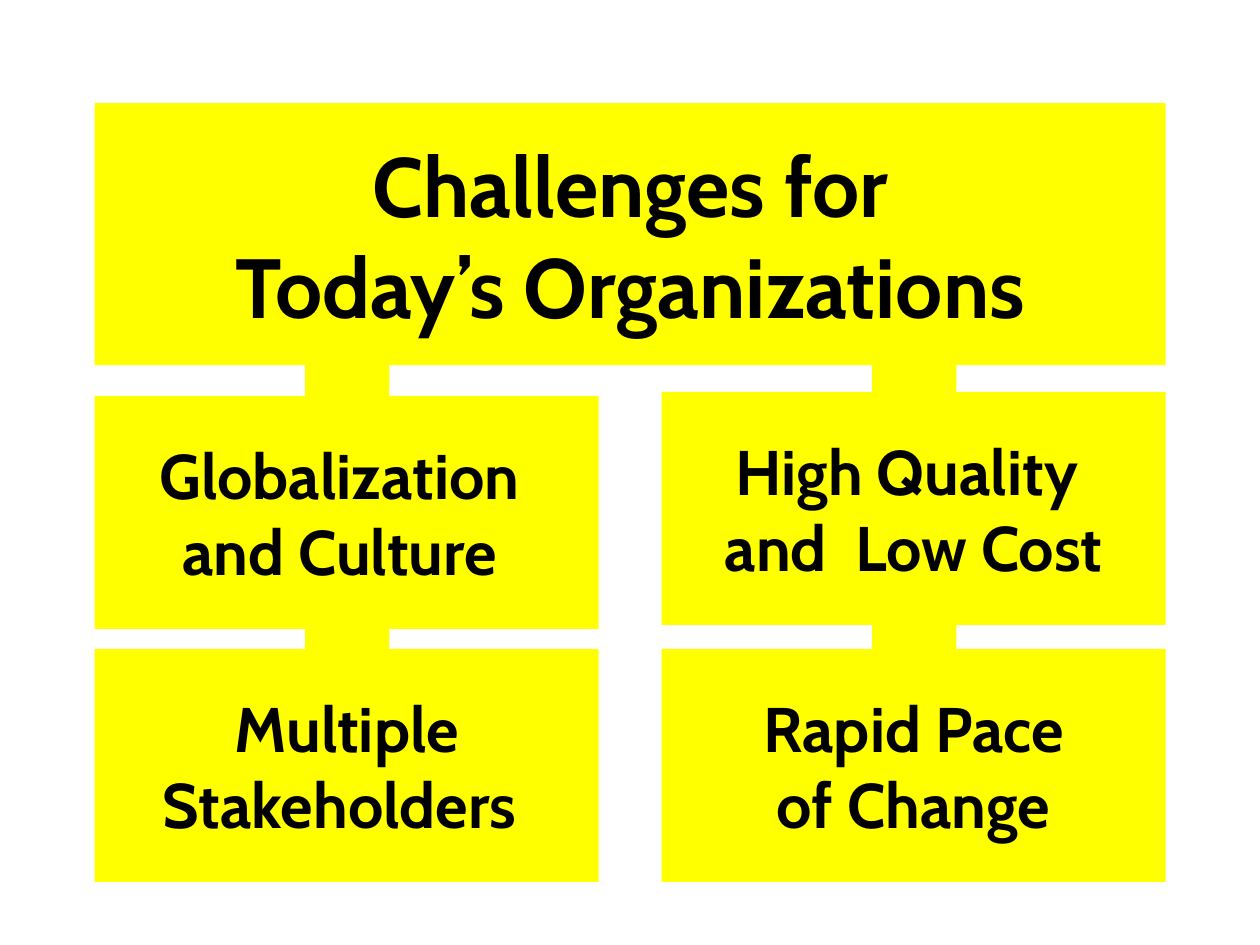
from pptx import Presentation
from pptx import util as u
from pptx.dml.color import RGBColor
from pptx.enum import shapes, text

YELLOW = RGBColor(0xFF, 0xFF, 0x00)
BLACK = RGBColor(0x00, 0x00, 0x00)
LEFT, RIGHT = 1.91, 13.34
BOX_W, BOX_H = 10.16, 4.7
BAR_OFFSET, BAR_W, BAR_H = 4.24, 1.7, 12.7

prs = Presentation()
prs.slide_width, prs.slide_height = u.Cm(25.4), u.Cm(19.05)
s = prs.slides.add_slide(prs.slide_layouts[6])


def add_box(x, y, w, h, lines=(), size=36):
    sp = s.shapes.add_shape(shapes.MSO_SHAPE.RECTANGLE, u.Cm(x), u.Cm(y), u.Cm(w), u.Cm(h))
    sp.shadow.inherit = False
    sp.fill.solid()
    sp.fill.fore_color.rgb = YELLOW
    sp.line.fill.background()
    tf = sp.text_frame
    tf.word_wrap = False
    tf.vertical_anchor = text.MSO_ANCHOR.MIDDLE
    for i, line in enumerate(lines):
        p = tf.add_paragraph() if i else tf.paragraphs[0]
        p.text = line
        p.alignment = text.PP_ALIGN.CENTER
        p.font.name = "Cabin"
        p.font.size = u.Pt(size)
        p.font.bold = True
        p.font.color.rgb = BLACK


for x, y in [(RIGHT, 4.19), (LEFT, 4.42)]:
    add_box(x + BAR_OFFSET, y, BAR_W, BAR_H)

add_box(LEFT, 2.08, 21.59, 5.28, ["Challenges for", "Today’s Organizations"], 48)

challenges = [
    (RIGHT, 13.08, ["Rapid Pace", "of Change"]),
    (LEFT, 13.08, ["Multiple", "Stakeholders "]),
    (LEFT, 7.98, ["Globalization ", "and Culture "]),
    (RIGHT, 7.9, ["High Quality ", "and  Low Cost"]),
]
for x, y, lines in challenges:
    add_box(x, y, BOX_W, BOX_H, lines)

prs.save("out.pptx")
